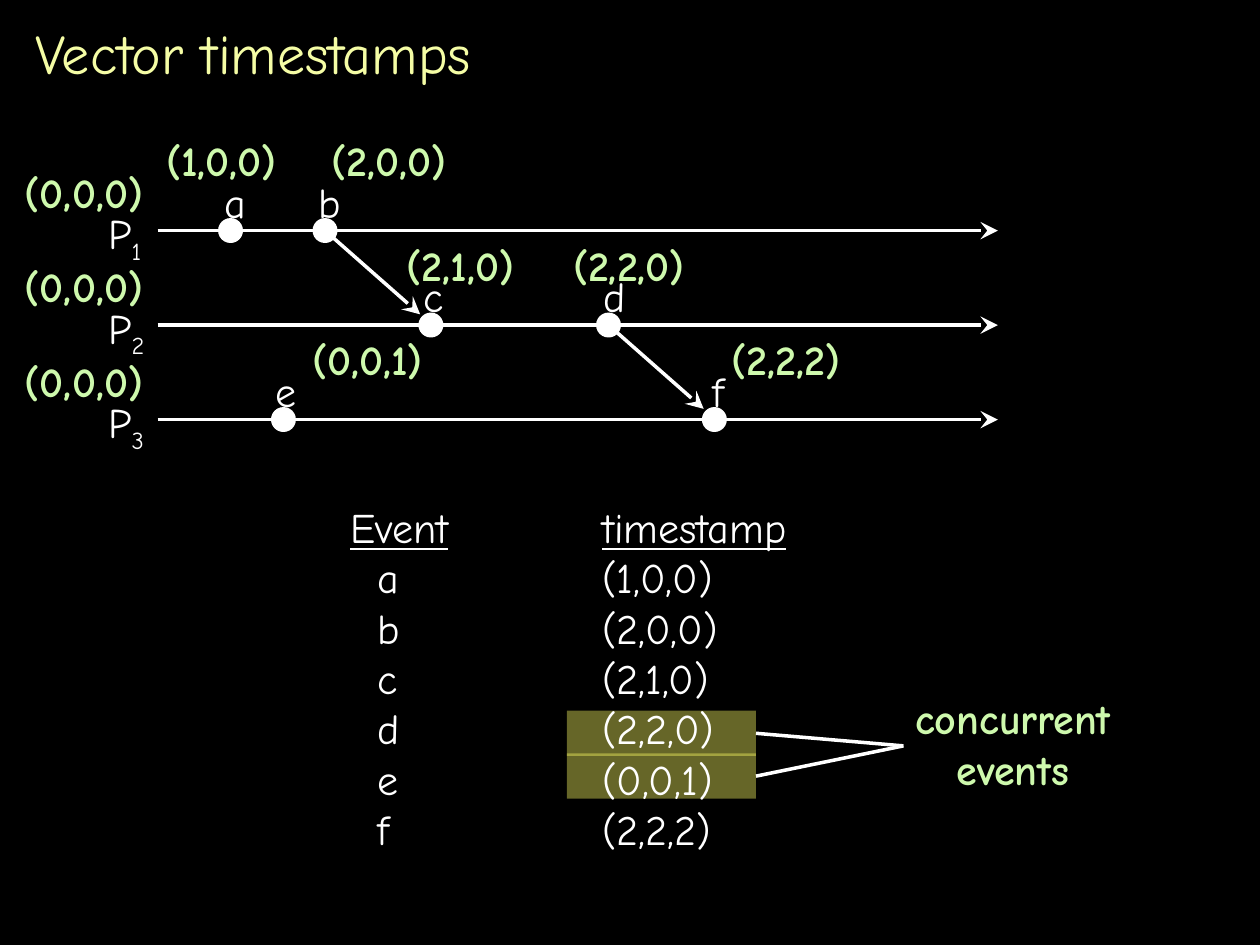
from lxml.etree import SubElement
from pptx import Presentation
from pptx.dml.color import RGBColor
from pptx.enum.shapes import MSO_CONNECTOR as LINE, MSO_SHAPE as SHAPE
from pptx.enum.text import MSO_ANCHOR as ANCHOR, MSO_AUTO_SIZE as FIT, PP_ALIGN as ALIGN
from pptx.oxml.ns import qn
from pptx.util import Inches, Pt

FONT = "Comic Neue"
WHITE, GREEN, CREAM, GOLD = "FFFFFF", "CEF9AD", "F5FDA5", "FFFF66"
LANES = ["1", "2", "3"]
EVENTS = {
    "a": dict(lane=0, x=1.83, left=1.68, wide=0.37, stamp="(1,0,0)", at=(1.22, 1.02, 1.08)),
    "b": dict(lane=0, x=2.58, left=2.43, wide=0.38, stamp="(2,0,0)", at=(2.53, 1.02, 1.11)),
    "c": dict(lane=1, x=3.42, left=3.26, wide=0.36, stamp="(2,1,0)", at=(3.13, 1.85, 1.05)),
    "d": dict(lane=1, x=4.83, left=4.69, wide=0.37, stamp="(2,2,0)", at=(4.45, 1.85, 1.09)),
    "e": dict(lane=2, x=2.25, left=2.09, wide=0.36, stamp="(0,0,1)", at=(2.38, 2.6, 1.08)),
    "f": dict(lane=2, x=5.67, left=5.56, wide=0.29, stamp="(2,2,2)", at=(5.71, 2.6, 1.06)),
}
SENDS = ["bc", "df"]
TABS = [0.22, 2]
TOP, GAP, DOT = 1.83, 0.75, 0.17
MARKS = [5.64, 5.98]
MEET = (7.17, 5.92)

deck = Presentation()
deck.slide_width, deck.slide_height = Inches(10), Inches(7.5)
slide = deck.slides.add_slide(deck.slide_layouts[5])
shapes = slide.shapes


def rgb(code):
    return RGBColor.from_string(code)


def place(box):
    return [Inches(n) for n in box]


def style(font, size, color, bold=False):
    font.name, font.size, font.bold = FONT, Pt(size), bold
    font.color.rgb = rgb(color)


def solid(kind, box, color):
    item = shapes.add_shape(kind, *place(box))
    item.shadow.inherit = False
    item.fill.solid()
    item.fill.fore_color.rgb = rgb(color)
    return item


def label(text, box, color=WHITE, bold=False):
    item = shapes.add_textbox(*place(box))
    frame = item.text_frame
    frame.word_wrap = False
    frame.auto_size = FIT.SHAPE_TO_FIT_TEXT
    frame.text = text
    for para in frame.paragraphs:
        for run in para.runs:
            style(run.font, 24, color, bold)
    return frame


def line(start, end, arrow=False):
    item = shapes.add_connector(LINE.STRAIGHT, *place(start + end))
    item.line.color.rgb = rgb(WHITE)
    item.line.width = Pt(2)
    if arrow:
        SubElement(item.line._get_or_add_ln(), qn("a:tailEnd"), type="stealth", w="lg", len="lg")
    SubElement(item._element.spPr, qn("a:effectLst"))
    return item


def lane_y(lane):
    return TOP + GAP * lane


slide.background.fill.solid()
slide.background.fill.fore_color.rgb = rgb("000000")

title = shapes.title
title.left, title.top, title.width, title.height = place((0.18, 0.08, 9.67, 0.67))
title.text_frame.text = "Vector timestamps"
title.text_frame.vertical_anchor = ANCHOR.MIDDLE
head = title.text_frame.paragraphs[0]
head.alignment = ALIGN.LEFT
style(head.runs[0].font, 32, CREAM)

marks = []
for top in MARKS:
    mark = solid(SHAPE.RECTANGLE, (4.5, top, 1.5, 0.36), GOLD)
    mark.line.fill.background()
    tint = mark._element.spPr.find(".//" + qn("a:srgbClr"))
    SubElement(tint, qn("a:alpha"), val="40000")
    marks.append(mark)

for lane, num in enumerate(LANES):
    y = lane_y(lane)
    line((1.25, y), (7.92, y), True)
    label("(0,0,0)", (0.1, y - 0.56, 1.14, 0.5), GREEN, True)
    name = label("P", (0.76, y - 0.23, 0.5, 0.56)).paragraphs[0]
    sub = name.add_run()
    sub.text = num
    style(sub.font, 24, WHITE)
    sub._r.get_or_add_rPr().set("baseline", "-25000")

for name, ev in EVENTS.items():
    y = lane_y(ev["lane"])
    dot = solid(SHAPE.OVAL, (ev["x"] - DOT / 2, y - DOT / 2, DOT, DOT), WHITE)
    dot.line.color.rgb = rgb(WHITE)
    dot.line.width = Pt(2)
    label(name, (ev["left"], y - 0.48, ev["wide"], 0.5))
    left, top, wide = ev["at"]
    label(ev["stamp"], (left, top, wide, 0.5), GREEN, True)

for src, dst in SENDS:
    a, b = EVENTS[src], EVENTS[dst]
    line((a["x"], lane_y(a["lane"])),
         (b["x"] - DOT / 2, lane_y(b["lane"]) - DOT / 2), True)

rows = ["Event\ttimestamp"] + [f"\t{name}\t{ev['stamp']}" for name, ev in EVENTS.items()]
table = label("\n".join(rows), (2.68, 3.93, 3.67, 2.9))
for para in table.paragraphs:
    stops = SubElement(para._p.get_or_add_pPr(), qn("a:tabLst"))
    for pos in TABS:
        SubElement(stops, qn("a:tab"), pos=str(Inches(pos)), algn="l")
for run in table.paragraphs[0].runs:
    run.font.underline = True

for mark in marks:
    line((6, 6), MEET).begin_connect(mark, 3)
note = label("concurrent\vevents", (7.16, 5.45, 1.76, 0.9), GREEN, True)
note.paragraphs[0].alignment = ALIGN.CENTER

deck.save("out.pptx")
